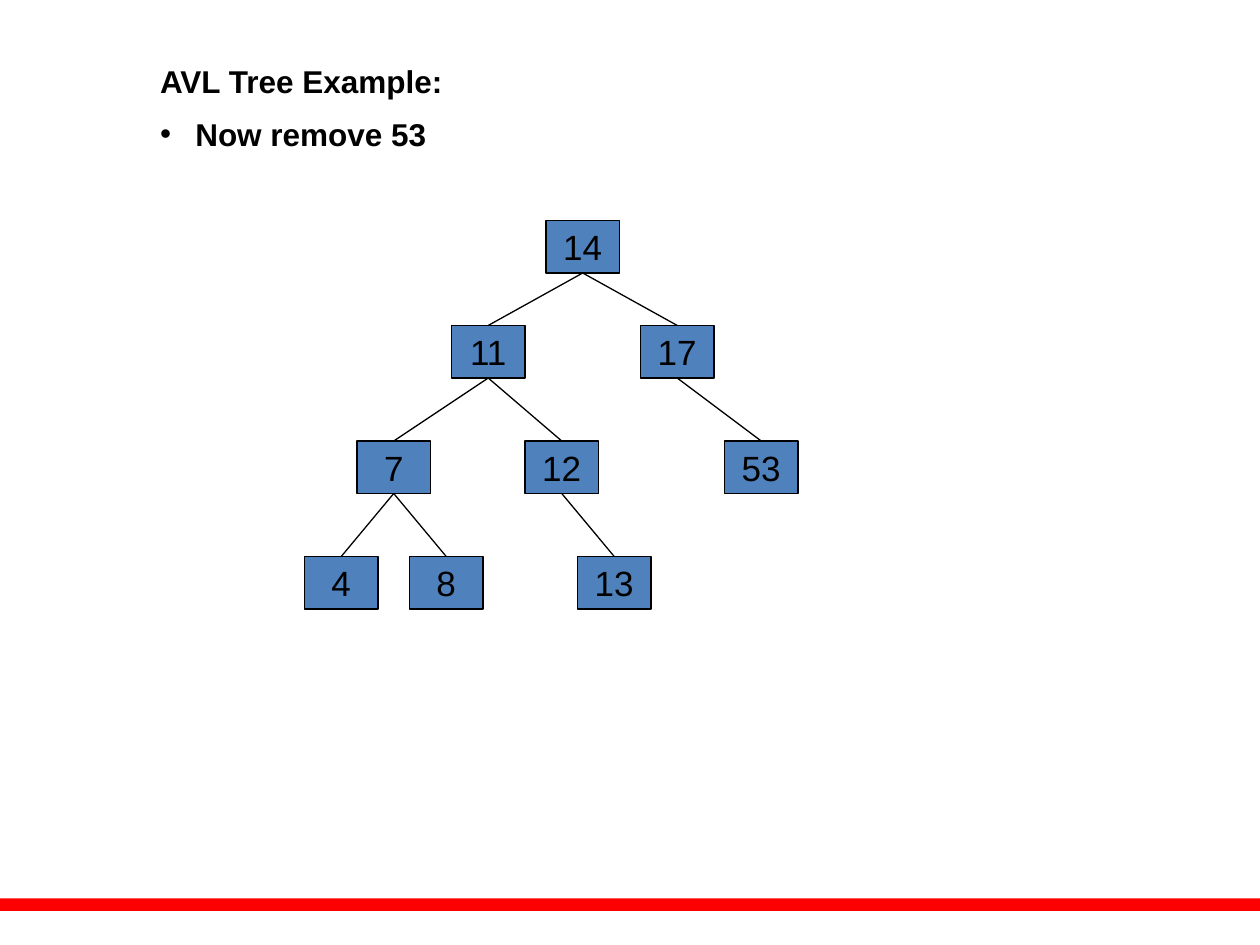
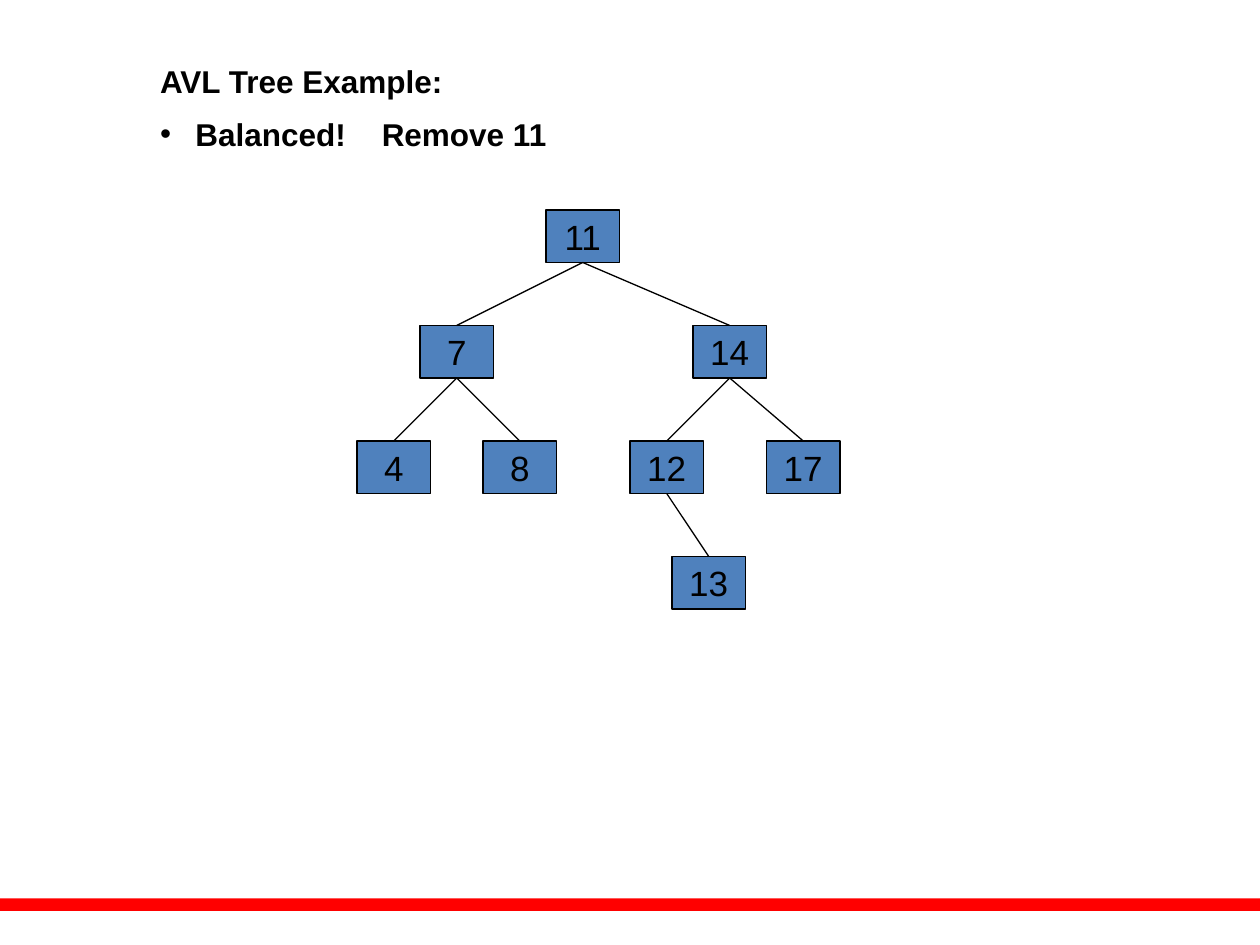
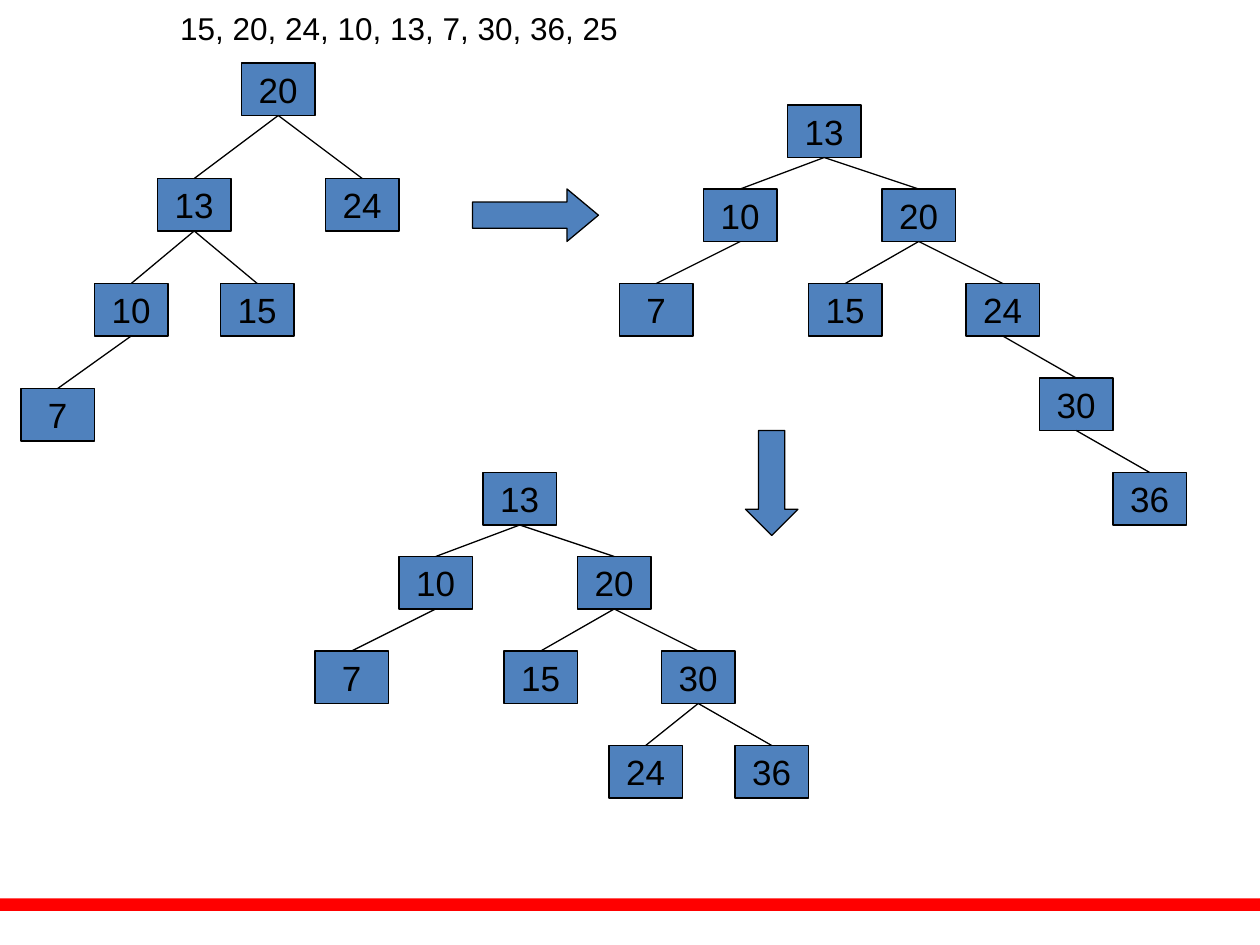
from pptx import Presentation
from pptx.dml.color import RGBColor
from pptx.enum.shapes import MSO_CONNECTOR, MSO_SHAPE
from pptx.enum.text import MSO_ANCHOR, MSO_AUTO_SIZE, PP_ALIGN
from pptx.oxml.ns import qn
from pptx.util import Inches, Pt
from lxml.etree import SubElement

BLACK = RGBColor(0x00, 0x00, 0x00)
BLUE = RGBColor(0x4F, 0x81, 0xBD)
RED = RGBColor(0xFF, 0x00, 0x00)
FONT = "Arial"
GRID = Inches(1) / 12
NODE_W, NODE_H = 7, 5
BULLET_INDENT = Inches(0.28)
TAB_STOP = Inches(1.76)

HEADING = "AVL Tree Example:"
INSERTIONS = "15, 20, 24, 10, 13, 7, 30, 36, 25"

REMOVE_53 = [
    ("14", 52, 21, None),
    ("11", 43, 31, "14"), ("17", 61, 31, "14"),
    ("7", 34, 42, "11"), ("12", 50, 42, "11"), ("53", 69, 42, "17"),
    ("4", 29, 53, "7"), ("8", 39, 53, "7"), ("13", 55, 53, "12"),
]
REMOVE_11 = [
    ("11", 52, 20, None),
    ("7", 40, 31, "11"), ("14", 66, 31, "11"),
    ("4", 34, 42, "7"), ("8", 46, 42, "7"),
    ("12", 60, 42, "14"), ("17", 73, 42, "14"),
    ("13", 64, 53, "12"),
]
BEFORE_ROTATION = [
    ("20", 23, 6, None),
    ("13", 15, 17, "20"), ("24", 31, 17, "20"),
    ("10", 9, 27, "13"), ("15", 21, 27, "13"),
    ("7", 2, 37, "10"),
]
AFTER_INSERTS = [
    ("13", 75, 10, None),
    ("10", 67, 18, "13"), ("20", 84, 18, "13"),
    ("7", 59, 27, "10"), ("15", 77, 27, "20"), ("24", 92, 27, "20"),
    ("30", 99, 36, "24"),
    ("36", 106, 45, "30"),
]
REBALANCED = [
    ("13", 46, 45, None),
    ("10", 38, 53, "13"), ("20", 55, 53, "13"),
    ("7", 30, 62, "10"), ("15", 48, 62, "20"), ("30", 63, 62, "20"),
    ("24", 58, 71, "30"), ("36", 70, 71, "30"),
]
ARROWS = [
    (MSO_SHAPE.RIGHT_ARROW, 45, 18, 12, 5, 0.6),
    (MSO_SHAPE.DOWN_ARROW, 71, 41, 5, 10, 0.5),
]
SLIDES = [
    {"title": HEADING, "bullet": "Now remove 53", "trees": [REMOVE_53]},
    {"title": HEADING, "bullet": "Balanced!\tRemove 11", "trees": [REMOVE_11]},
    {"title": INSERTIONS, "trees": [BEFORE_ROTATION, AFTER_INSERTS, REBALANCED],
     "arrows": ARROWS},
]


def add_run(p, text, size, bold=False):
    r = p.add_run()
    r.text = text
    r.font.name = FONT
    r.font.size = Pt(size)
    r.font.bold = bold
    r.font.color.rgb = BLACK


def fill_placeholder(sp, text, left, top, width, bold):
    sp.left, sp.top, sp.width, sp.height = map(Inches, (left, top, width, 0.4))
    tf = sp.text_frame
    tf.word_wrap = True
    tf.auto_size = MSO_AUTO_SIZE.NONE
    tf.vertical_anchor = MSO_ANCHOR.TOP
    p = tf.paragraphs[0]
    p.alignment = PP_ALIGN.LEFT
    p.space_before = Pt(0)
    add_run(p, text, 18, bold)
    return p


def add_bullet(p):
    pPr = p._p.get_or_add_pPr()
    pPr.set("marL", str(BULLET_INDENT))
    pPr.set("indent", str(-BULLET_INDENT))
    SubElement(pPr, qn("a:buFont"), typeface=FONT)
    SubElement(pPr, qn("a:buChar"), char="•")
    tabs = SubElement(pPr, qn("a:tabLst"))
    SubElement(tabs, qn("a:tab"), pos=str(TAB_STOP), algn="l")


def add_block(s, kind, col, row, width, height):
    sp = s.shapes.add_shape(kind, *(round(n * GRID) for n in (col, row, width, height)))
    sp.shadow.inherit = False
    sp.fill.solid()
    sp.fill.fore_color.rgb = BLUE
    sp.line.color.rgb = BLACK
    sp.line.width = Pt(0.75)
    return sp


def add_edge(s, parent, child):
    edge = s.shapes.add_connector(MSO_CONNECTOR.STRAIGHT, 0, 0, 0, 0)
    edge.begin_connect(parent, 2)
    edge.end_connect(child, 0)
    edge.line.color.rgb = BLACK
    edge.line.width = Pt(0.75)
    SubElement(edge.element.spPr, qn("a:effectLst"))


def add_tree(s, tree):
    nodes = {}
    for label, col, row, parent in tree:
        sp = add_block(s, MSO_SHAPE.RECTANGLE, col, row, NODE_W, NODE_H)
        tf = sp.text_frame
        tf.word_wrap = False
        tf.vertical_anchor = MSO_ANCHOR.MIDDLE
        p = tf.paragraphs[0]
        p.alignment = PP_ALIGN.CENTER
        add_run(p, label, 20)
        nodes[label] = sp
        if parent:
            add_edge(s, nodes[parent], sp)


def add_master_band(prs, s):
    band = s.shapes.add_shape(MSO_SHAPE.RECTANGLE, 0, Inches(7.13), prs.slide_width, Inches(0.1))
    band.shadow.inherit = False
    band.fill.solid()
    band.fill.fore_color.rgb = RED
    band.line.fill.background()
    band.element.nvSpPr.cNvPr.set("id", "20")
    prs.slide_master.shapes.element.append(band.element)


def main():
    prs = Presentation()
    prs.slide_width, prs.slide_height = Inches(10), Inches(7.5)
    for number, content in enumerate(SLIDES):
        bullet = content.get("bullet")
        s = prs.slides.add_slide(prs.slide_layouts[1 if bullet else 5])
        if number == 0:
            add_master_band(prs, s)
        if bullet:
            fill_placeholder(s.shapes.title, content["title"], 1.17, 0.44, 7.83, True)
            add_bullet(fill_placeholder(s.placeholders[1], bullet, 1.17, 0.86, 7.83, True))
        else:
            fill_placeholder(s.shapes.title, content["title"], 1.33, 0.02, 7.67, False)
        for tree in content["trees"]:
            add_tree(s, tree)
        for kind, col, row, width, height, head in content.get("arrows", []):
            arrow = add_block(s, kind, col, row, width, height)
            arrow.adjustments[0] = 0.5
            arrow.adjustments[1] = head
    prs.save("out.pptx")


if __name__ == "__main__":
    main()
